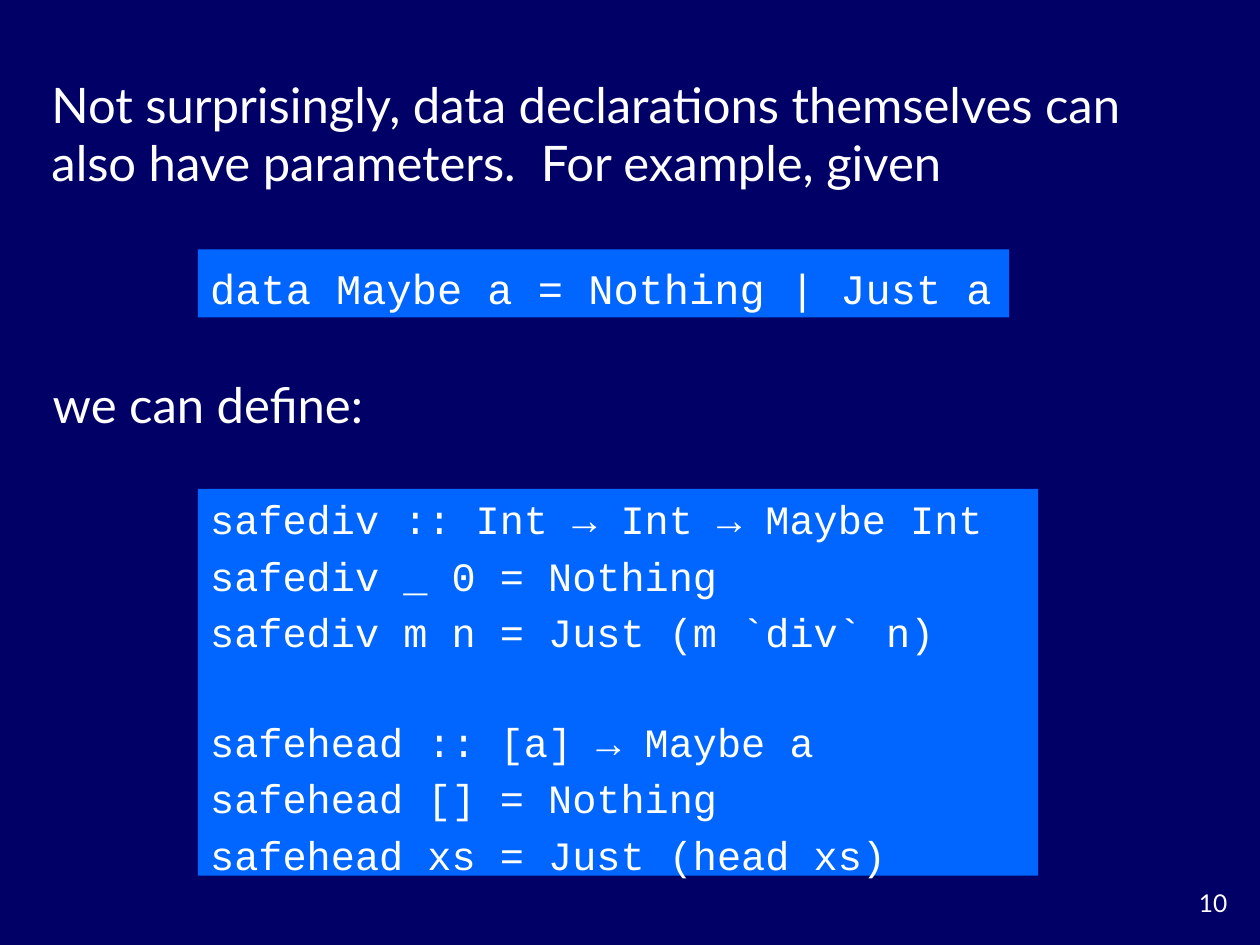
from pptx import Presentation
from pptx.dml.color import RGBColor
from pptx.enum.shapes import MSO_SHAPE
from pptx.enum.text import MSO_ANCHOR, PP_ALIGN
from pptx.util import Inches, Pt

RECT = MSO_SHAPE.RECTANGLE
MIDDLE, TOP = MSO_ANCHOR.MIDDLE, MSO_ANCHOR.TOP
LEFT, RIGHT = PP_ALIGN.LEFT, PP_ALIGN.RIGHT
COLORS = {"back": "000066", "code": "0066FF", "text": "FFFFFF"}


class Deck:
    """Holds the style and the current slide."""

    body, mono = "Lato", "Courier New"
    lead = 1.17

    def __init__(self):
        self.prs = Presentation()
        self.prs.slide_width = Inches(10)
        self.prs.slide_height = Inches(7.5)
        self.slide = self.prs.slides.add_slide(self.prs.slide_layouts[6])
        self.paint(self.slide.background.fill, "back")

    def paint(self, fill, name):
        fill.solid()
        fill.fore_color.rgb = RGBColor.from_string(COLORS[name])

    def put(self, para, text, font, size, align=LEFT):
        para.alignment = align
        run = para.add_run()
        run.text = text
        run.font.name = font
        run.font.size = Pt(size)
        run.font.color.rgb = RGBColor.from_string(COLORS["text"])

    def text(self, box, text, size=28, align=LEFT, anchor=MIDDLE):
        shape = self.slide.shapes.add_textbox(*map(Inches, box))
        frame = shape.text_frame
        frame.word_wrap = True
        frame.vertical_anchor = anchor
        self.put(frame.paragraphs[0], text, self.body, size, align)

    def code(self, box, groups, size):
        shape = self.slide.shapes.add_shape(RECT, *map(Inches, box))
        shape.shadow.inherit = False
        shape.line.fill.background()
        self.paint(shape.fill, "code")
        frame = shape.text_frame
        frame.word_wrap = True
        frame.vertical_anchor = MIDDLE
        para = frame.paragraphs[0]
        for g, group in enumerate(groups):
            for i, line in enumerate(group):
                if g or i:
                    para = frame.add_paragraph()
                para.line_spacing = self.lead
                if g and not i:
                    para.space_before = Pt(30.5)
                self.put(para, line, self.mono, size)


deck = Deck()
deck.text((9.17, 7, 0.67, 0.33), "10", 14, RIGHT, TOP)
deck.text((0.31, 0.54, 9.12, 1.03),
          "Not surprisingly, data declarations themselves can also have "
          "parameters.  For example, given")
deck.code((1.57, 1.98, 6.44, 0.54), [["data Maybe a = Nothing | Just a"]], 24)
deck.text((0.32, 2.92, 9.12, 0.57), "we can define:")
deck.code((1.57, 3.88, 6.67, 3.07), [
    ["safediv :: Int → Int → Maybe Int",
     "safediv _ 0 = Nothing",
     "safediv m n = Just (m `div` n)"],
    ["safehead :: [a] → Maybe a",
     "safehead [] = Nothing",
     "safehead xs = Just (head xs)"],
], 23)
deck.prs.save("out.pptx")
